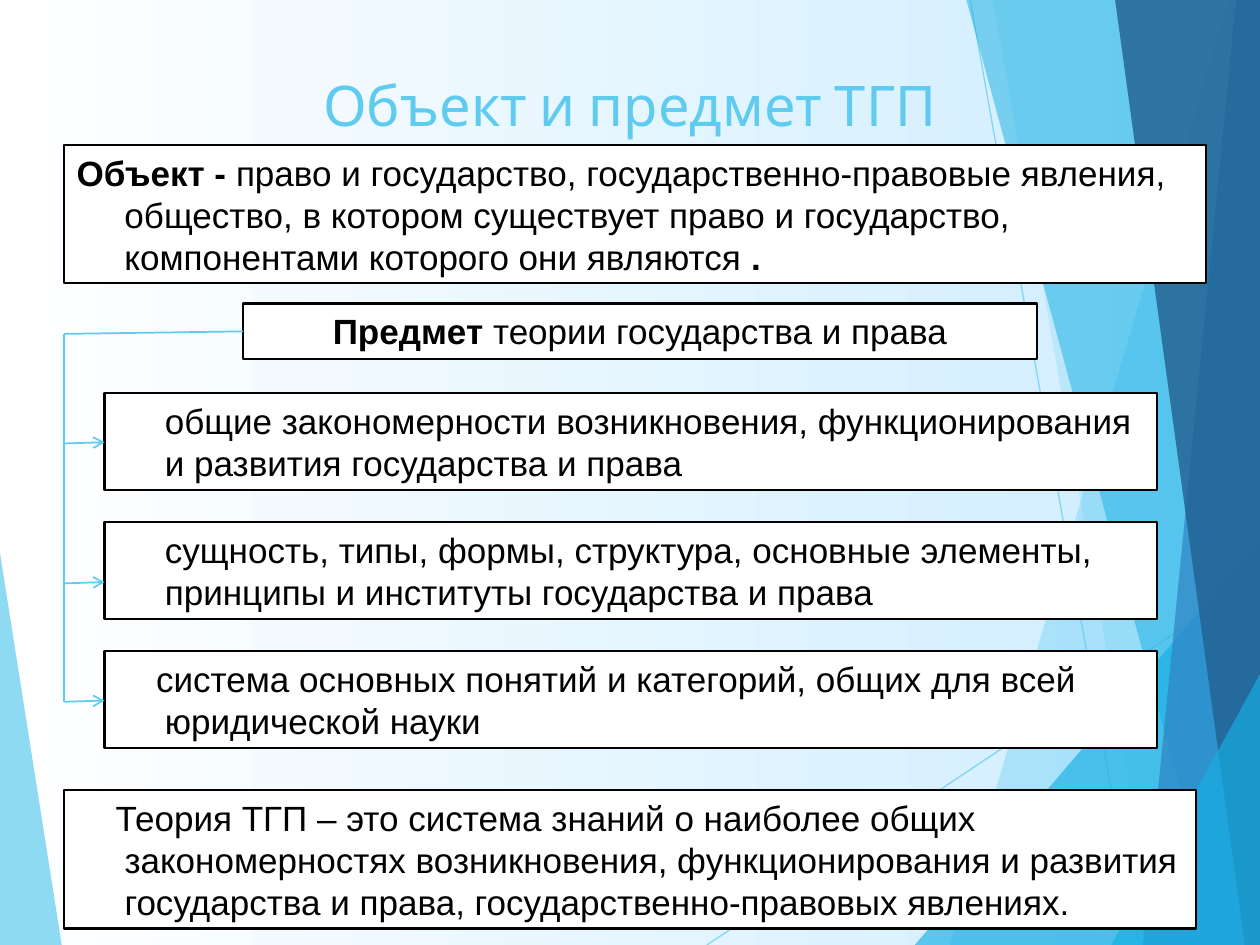
from dataclasses import dataclass
from lxml.etree import SubElement
from pptx import Presentation
from pptx.dml.color import RGBColor
from pptx.enum.shapes import MSO_CONNECTOR, MSO_SHAPE
from pptx.enum.text import MSO_ANCHOR, PP_ALIGN
from pptx.oxml.ns import qn
from pptx.util import Inches, Pt


@dataclass(frozen=True)
class Theme:
    sky: str = "5FCBEF"
    azure: str = "17B0E4"
    blue: str = "2E83C3"
    navy: str = "236292"
    pale: str = "CCECFF"
    white: str = "FFFFFF"
    black: str = "000000"
    title_font: str = "Cabin"
    body_font: str = "Arial"
    title_size: int = 32
    body_size: int = 20
    leading: int = 24


theme = Theme()
rgb = RGBColor.from_string

prs = Presentation()
prs.slide_width, prs.slide_height = Inches(10), Inches(7.5)
slide = prs.slides.add_slide(prs.slide_layouts[6])
shapes = slide.shapes

# The grid has 100 columns and 75 rows of square cells
cell = prs.slide_width / 100
LEFT, ITEM_LEFT, ITEM_WIDTH = 5.1, 8.3, 83.5
HANG = 3.8


def add_line(x1, y1, x2, y2, width, arrow=False):
    ends = [round(v * cell) for v in (x1, y1, x2, y2)]
    ln = shapes.add_connector(MSO_CONNECTOR.STRAIGHT, *ends)
    ln.line.color.rgb = rgb(theme.sky)
    ln.line.width = Pt(width)
    if arrow:
        SubElement(ln.line._get_or_add_ln(), qn("a:tailEnd"), type="arrow")
    SubElement(ln._element.spPr, qn("a:effectLst"))
    return ln


def add_box(x, y, w, h, runs, margin=HANG, first=0, align=PP_ALIGN.LEFT):
    """Framed text; runs are (text, bold) pairs, first is the first-line indent."""
    box = shapes.add_shape(MSO_SHAPE.RECTANGLE, *[round(v * cell) for v in (x, y, w, h)])
    box.shadow.inherit = False
    box.fill.solid()
    box.fill.fore_color.rgb = rgb(theme.white)
    box.line.color.rgb = rgb(theme.black)
    box.line.width = Pt(1.25)
    tf = box.text_frame
    tf.word_wrap = True
    tf.vertical_anchor = MSO_ANCHOR.TOP
    p = tf.paragraphs[0]
    p.alignment = align
    p.line_spacing = Pt(theme.leading)
    pPr = p._p.get_or_add_pPr()
    pPr.set("marL", str(round(margin * cell)))
    pPr.set("indent", str(round(first * cell)))
    for text, bold in runs:
        r = p.add_run()
        r.text = text
        r.font.name = theme.body_font
        r.font.size = Pt(theme.body_size)
        r.font.bold = bold
        r.font.color.rgb = rgb(theme.black)


# Background and translucent facets
bg = slide.background.fill
bg.gradient()
bg.gradient_angle = 0
for stop, color, position in zip(bg.gradient_stops, (theme.white, theme.pale), (0, 1)):
    stop.color.rgb = rgb(color)
    stop.position = position

decor = [(add_line(56.1, 75, 100.1, 45.7, 0.75), 70),
         (add_line(77, 0, 90.4, 75, 0.75), 70)]
facets = [
    (theme.sky, 70, [(0, 43.9), (4.9, 75), (0, 75)]),
    (theme.sky, 36, [(97.5, 0), (75.4, 75), (100, 75), (100, 0)]),
    (theme.sky, 20, [(78.8, 0), (91.9, 75), (100, 75), (100, 0)]),
    (theme.azure, 66, [(72.6, 75), (100, 42.9), (100, 75)]),
    (theme.azure, 50, [(76.7, 0), (97, 75), (100, 75), (100, 0)]),
    (theme.blue, 70, [(98.1, 0), (90.7, 75), (100, 75), (100, 0)]),
    (theme.navy, 82, [(88.5, 0), (98.8, 75), (100, 75), (100, 0)]),
    (theme.azure, 66, [(88.2, 75), (100, 53.5), (100, 75)]),
]
for color, alpha, points in facets:
    start, *rest = [(round(x * cell), round(y * cell)) for x, y in points]
    builder = shapes.build_freeform(*start)
    builder.add_line_segments(rest)
    facet = builder.convert_to_shape()
    facet.shadow.inherit = False
    facet.fill.solid()
    facet.fill.fore_color.rgb = rgb(color)
    facet.line.fill.background()
    decor.append((facet, alpha))
for sp, alpha in decor:
    clr = next(sp._element.spPr.iter(qn("a:srgbClr")))
    SubElement(clr, qn("a:alpha"), val=str(alpha * 1000))

# Title
title = shapes.add_textbox(*[round(v * cell) for v in (5, 5, 90, 6.5)])
tf = title.text_frame
tf.word_wrap = True
tf.vertical_anchor = MSO_ANCHOR.MIDDLE
tf.text = "Объект и предмет ТГП"
p = tf.paragraphs[0]
p.alignment = PP_ALIGN.CENTER
font = p.runs[0].font
font.name, font.size = theme.title_font, Pt(theme.title_size)
font.color.rgb = rgb(theme.sky)

# Object, subject and the parts of the subject
add_box(LEFT, 11.5, 90.6, 11, [
    ("Объект - ", True),
    ("право и государство, государственно-правовые явления, общество, в котором "
     "существует право и государство, компонентами которого они являются ", False),
    (".", True),
], first=-HANG)
add_box(19.3, 24.1, 63, 4.4, [
    ("Предмет", True),
    (" теории государства и права", False),
], margin=0, align=PP_ALIGN.CENTER)

items = [
    ("общие закономерности возникновения, функционирования и развития "
     "государства и права", 0, 35.2),
    ("сущность, типы, формы, структура, основные элементы, принципы и институты "
     "государства и права", 0, 46.3),
    ("система основных понятий и категорий, общих для всей юридической науки", -0.7, 55.7),
]
add_line(LEFT, 26.5, LEFT, 55.7, 1)
add_line(LEFT, 26.5, 19.3, 26.3, 1)
for i, (text, first, arrow_y) in enumerate(items):
    add_box(ITEM_LEFT, 31.2 + 10.25 * i, ITEM_WIDTH, 7.7, [(text, False)], first=first)
    add_line(LEFT, arrow_y, ITEM_LEFT, arrow_y - 0.1, 1, arrow=True)

# Definition
add_box(LEFT, 62.7, 89.8, 11, [
    ("Теория ТГП – это система знаний о наиболее общих закономерностях возникновения, "
     "функционирования и развития государства и права, государственно-правовых "
     "явлениях.", False),
], first=-0.7)

prs.save("out.pptx")
